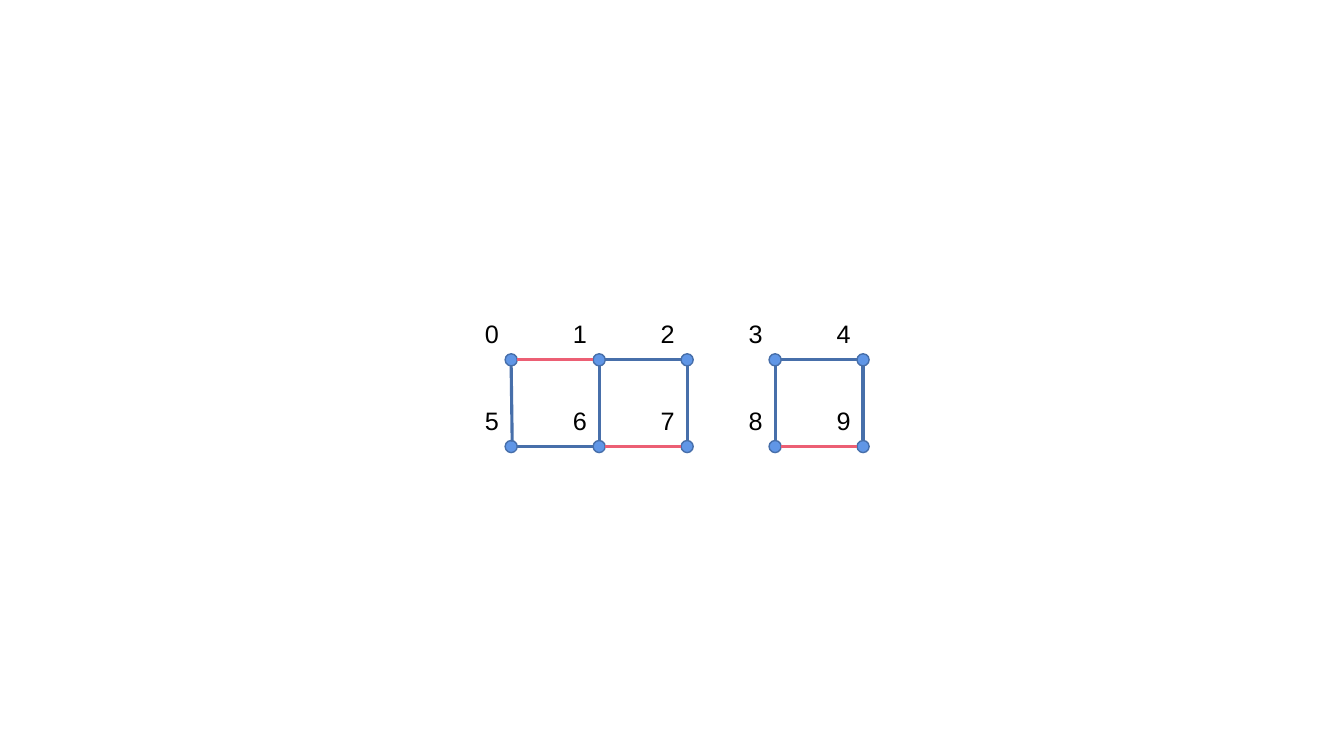
from lxml import etree
from pptx import Presentation
from pptx.dml.color import RGBColor
from pptx.enum.shapes import MSO_CONNECTOR, MSO_SHAPE
from pptx.enum.text import MSO_AUTO_SIZE
from pptx.oxml.ns import qn
from pptx.util import Inches, Pt

STRAIGHT = MSO_CONNECTOR.STRAIGHT
OVAL = MSO_SHAPE.OVAL
FIT_SHAPE = MSO_AUTO_SIZE.SHAPE_TO_FIT_TEXT

COLORS = {"node": "6096E6", "edge": "476FAA", "matched": "EC5F74", "label": "000000"}
LABEL_FONT = {"name": "Arial", "size": Pt(18)}
LABEL_FRAME = {"word_wrap": False, "auto_size": FIT_SHAPE}

COLUMNS, ROWS = 5, 2
DOT = 0.12
LABEL_WIDTH, LABEL_HEIGHT = 0.34, 0.4
LABEL_LEFT, LABEL_TOP = -0.3, -0.4

EDGES = [(3, 4), (3, 8), (5, 6), (4, 9), (1, 2), (0, 5), (2, 7), (1, 6)]
MATCHED_EDGES = [(0, 1), (6, 7), (8, 9)]
END_SHIFTS = {(0, 5): 0.01}


def color(name):
    """Return the named colour."""
    return RGBColor.from_string(COLORS[name])


def apply_format(target, values):
    """Set every attribute in values on target."""
    for name, value in values.items():
        setattr(target, name, value)


def add_node(slide, number, left, top):
    """Add a grouped dot and number, with the dot's corner at left, top."""
    shapes = slide.shapes.add_group_shape().shapes
    dot = shapes.add_shape(OVAL, Inches(left), Inches(top), Inches(DOT), Inches(DOT))
    dot.shadow.inherit = False
    dot.fill.solid()
    dot.fill.fore_color.rgb = color("node")
    dot.line.color.rgb = color("edge")
    dot.line.width = Pt(1)

    label = shapes.add_textbox(
        Inches(left + LABEL_LEFT), Inches(top + LABEL_TOP),
        Inches(LABEL_WIDTH), Inches(LABEL_HEIGHT),
    )
    apply_format(label.text_frame, LABEL_FRAME)
    run = label.text_frame.paragraphs[0].add_run()
    run.text = str(number)
    apply_format(run.font, LABEL_FONT)
    run.font.color.rgb = color("label")


def add_edge(slide, start, end, color_name, shift=0):
    """Join the facing rims of two dots given by their corners."""
    radius = DOT / 2
    horizontal = start[1] == end[1]
    begin_x, begin_y = (DOT, radius) if horizontal else (radius, DOT)
    end_x, end_y = (0, radius) if horizontal else (radius, 0)
    connector = slide.shapes.add_connector(
        STRAIGHT,
        Inches(start[0] + begin_x), Inches(start[1] + begin_y),
        Inches(end[0] + end_x + shift), Inches(end[1] + end_y + shift),
    )
    connector.line.color.rgb = color(color_name)
    connector.line.width = Pt(2.25)
    etree.SubElement(connector._element.spPr, qn("a:effectLst"))


def add_graph(slide, left, top, width, height):
    """Place the numbered grid graph so that its dots fill the given box."""
    column_step = (width - DOT) / (COLUMNS - 1)
    row_step = (height - DOT) / (ROWS - 1)
    corners = [
        (left + column * column_step, top + row * row_step)
        for row in range(ROWS) for column in range(COLUMNS)
    ]
    for number, corner in enumerate(corners):
        add_node(slide, number, *corner)
    for color_name, edges in (("edge", EDGES), ("matched", MATCHED_EDGES)):
        for first, second in edges:
            shift = END_SHIFTS.get((first, second), 0)
            add_edge(slide, corners[first], corners[second], color_name, shift)


def main():
    """Build and save the slide."""
    presentation = Presentation()
    presentation.slide_width = Inches(13.33)
    presentation.slide_height = Inches(7.5)
    slide = presentation.slides.add_slide(presentation.slide_layouts[6])
    add_graph(slide, left=5.01, top=3.51, width=3.61, height=0.98)
    presentation.save("out.pptx")


if __name__ == "__main__":
    main()
